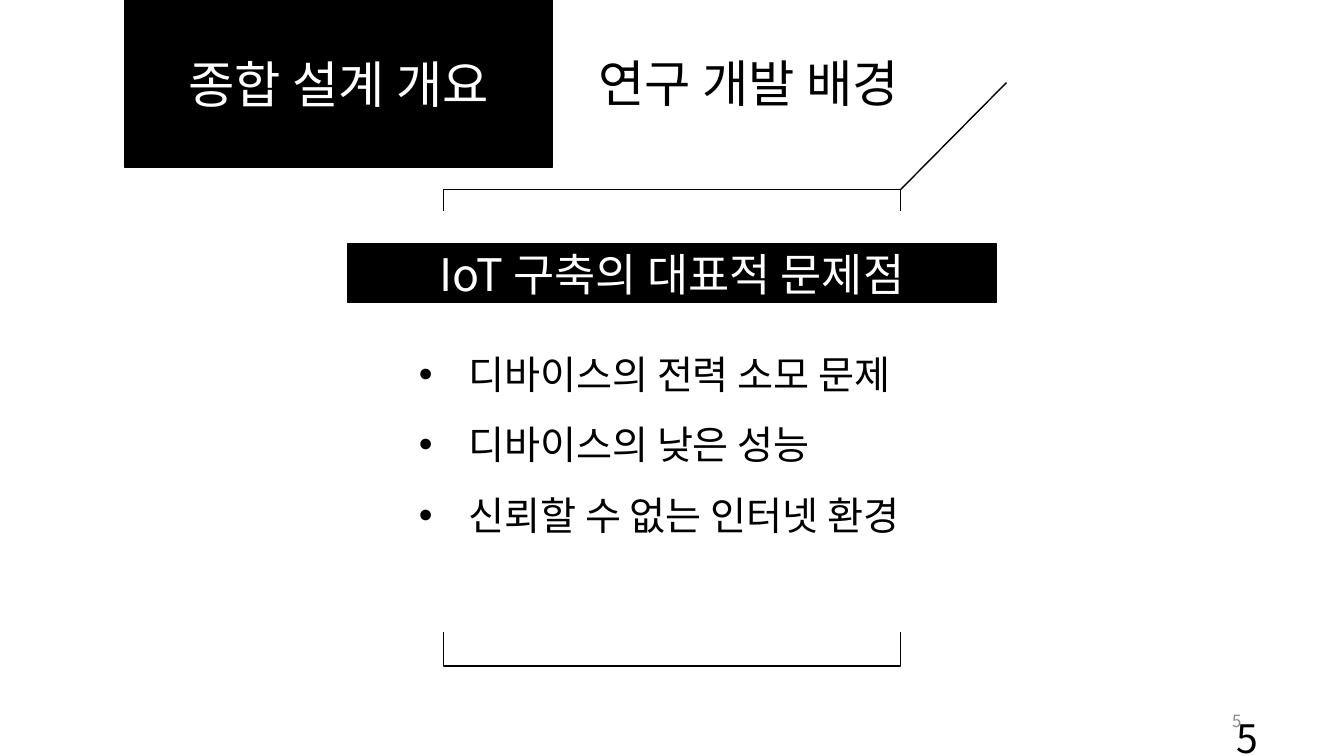
from pptx import Presentation
from pptx.dml.color import RGBColor
from pptx.enum.shapes import MSO_CONNECTOR, MSO_SHAPE
from pptx.enum.text import MSO_ANCHOR, PP_ALIGN
from pptx.oxml.ns import qn
from pptx.util import Inches, Pt
from lxml.etree import SubElement

BLACK = RGBColor(0x00, 0x00, 0x00)
WHITE = RGBColor(0xFF, 0xFF, 0xFF)
GRAY = RGBColor(0x89, 0x89, 0x89)
TITLE_ONLY = 5


class SlideBuilder:
    font_name = "Noto Sans CJK KR"
    line_width = Pt(1)

    def __init__(self, page):
        self.page = page

    def fill_text(self, shape, lines, size, color, align=PP_ALIGN.LEFT,
                  anchor=MSO_ANCHOR.TOP, spacing=1.0, bullet_indent=None):
        frame = shape.text_frame
        frame.word_wrap = True
        frame.vertical_anchor = anchor
        frame.text = "\n".join(lines)
        for para in frame.paragraphs:
            para.alignment = align
            para.line_spacing = spacing
            if bullet_indent:
                self.add_bullet(para, bullet_indent)
            font = para.font
            font.name = self.font_name
            font.size = Pt(size)
            font.color.rgb = color
            defaults = para._p.pPr.find(qn("a:defRPr"))
            latin = defaults.find(qn("a:latin"))
            east_asian = SubElement(defaults, qn("a:ea"), typeface=self.font_name)
            latin.addnext(east_asian)

    def add_bullet(self, para, indent):
        props = para._p.get_or_add_pPr()
        props.set("marL", str(indent))
        props.set("indent", str(-indent))
        SubElement(props, qn("a:buFont"), typeface="Arial")
        SubElement(props, qn("a:buChar"), char="•")

    def title(self, text, left, top, width, height, size):
        shape = self.page.shapes.title
        shape.left, shape.top = Inches(left), Inches(top)
        shape.width, shape.height = Inches(width), Inches(height)
        self.fill_text(shape, [text], size, BLACK)

    def box(self, left, top, width, height, fill, line):
        shape = self.page.shapes.add_shape(
            MSO_SHAPE.RECTANGLE, Inches(left), Inches(top), Inches(width), Inches(height))
        shape.shadow.inherit = False
        shape.fill.solid()
        shape.fill.fore_color.rgb = fill
        shape.line.color.rgb = line
        shape.line.width = self.line_width
        return shape

    def banner(self, text, left, top, width, height, size):
        shape = self.box(left, top, width, height, BLACK, BLACK)
        self.fill_text(shape, [text], size, WHITE, PP_ALIGN.CENTER, MSO_ANCHOR.MIDDLE)

    def text(self, lines, left, top, width, height, size, color=BLACK, **style):
        shape = self.page.shapes.add_textbox(
            Inches(left), Inches(top), Inches(width), Inches(height))
        self.fill_text(shape, lines, size, color, **style)

    def line(self, x1, y1, x2, y2):
        connector = self.page.shapes.add_connector(
            MSO_CONNECTOR.STRAIGHT, Inches(x1), Inches(y1), Inches(x2), Inches(y2))
        connector.line.color.rgb = BLACK
        connector.line.width = self.line_width
        SubElement(connector._element.spPr, qn("a:effectLst"))


def main():
    deck = Presentation()
    deck.slide_width, deck.slide_height = Inches(13.34), Inches(7.5)
    slide = SlideBuilder(deck.slides.add_slide(deck.slide_layouts[TITLE_ONLY]))

    slide.title("연구 개발 배경", 5.84, 0.47, 3.38, 0.71, 36)

    # The white band hides the middle of the frame, leaving two brackets
    slide.box(4.4, 1.88, 4.54, 4.73, WHITE, BLACK)
    slide.box(3.24, 2.1, 7.82, 4.16, WHITE, WHITE)
    slide.line(8.94, 1.88, 9.99, 0.82)

    slide.banner("종합 설계 개요", 1.24, 0, 4.24, 1.66, 36)
    slide.banner("IoT 구축의 대표적 문제점", 3.45, 2.42, 6.44, 0.58, 32)
    problems = ["디바이스의 전력 소모 문제", "디바이스의 낮은 성능", "신뢰할 수 없는 인터넷 환경"]
    slide.text(problems, 4.06, 3.19, 5.26, 2.2, 28,
               spacing=1.5, bullet_indent=Inches(0.49))

    for left, top, size, color in [(9.42, 6.95, 12, GRAY), (9.59, 7.12, 28, BLACK)]:
        slide.text(["5"], left, top, 3, 0.4, size, color,
                   align=PP_ALIGN.RIGHT, anchor=MSO_ANCHOR.MIDDLE)

    deck.save("out.pptx")


if __name__ == "__main__":
    main()
